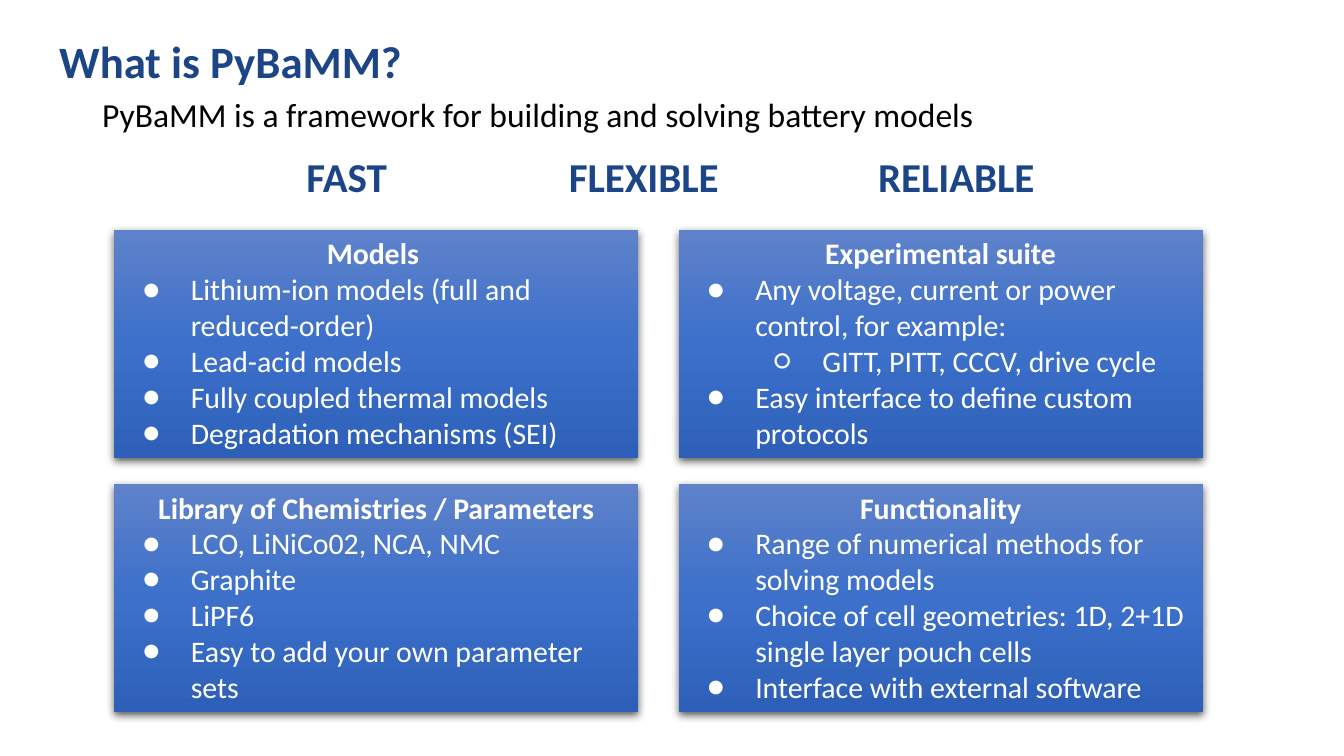
from dataclasses import dataclass

from lxml import etree
from pptx import Presentation
from pptx.dml.color import RGBColor
from pptx.enum.shapes import MSO_SHAPE
from pptx.enum.text import MSO_ANCHOR, PP_ALIGN
from pptx.oxml import parse_xml
from pptx.oxml.ns import nsdecls, qn
from pptx.slide import Slide
from pptx.text.text import TextFrame, _Paragraph
from pptx.util import Inches, Pt

RECTANGLE = MSO_SHAPE.RECTANGLE
TOP = MSO_ANCHOR.TOP
LEFT, CENTER = PP_ALIGN.LEFT, PP_ALIGN.CENTER
TITLE_ONLY = 5


@dataclass(frozen=True)
class Theme:
    font: str = "Calibri"
    navy: str = "1C4587"
    black: str = "000000"
    white: str = "FFFFFF"
    gradient: tuple[str, ...] = ("5F82CA", "3C70CA", "2E60B9")
    title_size: int = 24
    keyword_size: int = 22
    intro_size: int = 18
    card_size: int = 16


@dataclass(frozen=True)
class Keyword:
    text: str
    left: float
    width: float


@dataclass(frozen=True)
class Bullet:
    text: str
    level: int = 0


@dataclass(frozen=True)
class Card:
    heading: str
    bullets: tuple[Bullet, ...]


THEME = Theme()
PAGE_WIDTH = 10
PAGE_HEIGHT = PAGE_WIDTH * 9 / 16
CARD_LEFT, CARD_TOP = 0.85, 1.71
CARD_WIDTH, CARD_HEIGHT = 3.9, 1.7
COLUMN_STEP, ROW_STEP = 4.2, 1.89
BULLET_MARKS = "●○"
BULLET_INDENT, BULLET_HANG = 0.5, 0.36

KEYWORDS = (
    Keyword("FAST", 1.73, 1.7),
    Keyword("FLEXIBLE", 3.85, 1.88),
    Keyword("RELIABLE", 5.97, 2.29),
)

CARD_ROWS = (
    (
        Card("Models ", (
            Bullet("Lithium-ion models (full and reduced-order)"),
            Bullet("Lead-acid models"),
            Bullet("Fully coupled thermal models"),
            Bullet("Degradation mechanisms (SEI)"),
        )),
        Card("Experimental suite", (
            Bullet("Any voltage, current or power control, for example:"),
            Bullet("GITT, PITT, CCCV, drive cycle", 1),
            Bullet("Easy interface to define custom protocols"),
        )),
    ),
    (
        Card("Library of Chemistries / Parameters", (
            Bullet("LCO, LiNiCo02, NCA, NMC"),
            Bullet("Graphite"),
            Bullet("LiPF6"),
            Bullet("Easy to add your own parameter sets"),
        )),
        Card("Functionality", (
            Bullet("Range of numerical methods for solving models"),
            Bullet("Choice of cell geometries: 1D, 2+1D single layer pouch cells"),
            Bullet("Interface with external software"),
        )),
    ),
)


def set_frame(frame: TextFrame, side: float, end: float) -> None:
    frame.word_wrap = True
    frame.vertical_anchor = TOP
    frame.margin_left = frame.margin_right = Inches(side)
    frame.margin_top = frame.margin_bottom = Inches(end)


def add_span(para: _Paragraph, text: str, size: int, color: str,
             bold: bool = False, align: PP_ALIGN = LEFT) -> None:
    para.alignment = align
    span = para.add_run()
    span.text = text
    span.font.name = THEME.font
    span.font.size = Pt(size)
    span.font.bold = bold
    span.font.color.rgb = RGBColor.from_string(color)


def add_text_box(page: Slide, left: float, top: float, width: float,
                 height: float) -> _Paragraph:
    box = page.shapes.add_textbox(Inches(left), Inches(top), Inches(width), Inches(height))
    set_frame(box.text_frame, 0.07, 0.04)
    return box.text_frame.paragraphs[0]


def add_bullet(frame: TextFrame, bullet: Bullet) -> None:
    para = frame.add_paragraph()
    para.level = bullet.level
    properties = para._p.get_or_add_pPr()
    properties.set("marL", str(Inches(BULLET_INDENT * (bullet.level + 1))))
    properties.set("indent", str(-Inches(BULLET_HANG)))
    color = etree.SubElement(properties, qn("a:buClr"))
    etree.SubElement(color, qn("a:srgbClr"), val=THEME.white)
    etree.SubElement(properties, qn("a:buFont"), typeface=THEME.font)
    etree.SubElement(properties, qn("a:buChar"), char=BULLET_MARKS[bullet.level])
    add_span(para, bullet.text, THEME.card_size, THEME.white)


def add_card(page: Slide, card: Card, left: float, top: float) -> None:
    box = page.shapes.add_shape(RECTANGLE, Inches(left), Inches(top),
                                Inches(CARD_WIDTH), Inches(CARD_HEIGHT))
    box.line.fill.background()
    box.shadow.inherit = False
    properties = box._element.spPr
    stops = "".join(
        f'<a:gs pos="{index * 50000}"><a:srgbClr val="{color}"/></a:gs>'
        for index, color in enumerate(THEME.gradient)
    )
    properties.find(qn("a:prstGeom")).addnext(parse_xml(
        f'<a:gradFill {nsdecls("a")} rotWithShape="1"><a:gsLst>{stops}</a:gsLst>'
        '<a:lin ang="5400000" scaled="0"/></a:gradFill>'
    ))
    properties.find(qn("a:effectLst")).append(parse_xml(
        f'<a:outerShdw {nsdecls("a")} blurRad="{Pt(4.5)}" dist="{Pt(1.5)}" '
        f'dir="5400000" algn="ctr" rotWithShape="0"><a:srgbClr val="{THEME.black}">'
        '<a:alpha val="63000"/></a:srgbClr></a:outerShdw>'
    ))
    frame = box.text_frame
    set_frame(frame, 0.07, 0.04)
    add_span(frame.paragraphs[0], card.heading, THEME.card_size, THEME.white, True, CENTER)
    for bullet in card.bullets:
        add_bullet(frame, bullet)


def add_title(page: Slide, text: str) -> None:
    title = page.shapes.title
    title.left, title.top = Inches(0.34), Inches(0.15)
    title.width, title.height = Inches(9.32), Inches(0.63)
    set_frame(title.text_frame, 0.1, 0.1)
    add_span(title.text_frame.paragraphs[0], text, THEME.title_size, THEME.navy, True)


def main() -> None:
    deck = Presentation()
    deck.slide_width, deck.slide_height = Inches(PAGE_WIDTH), Inches(PAGE_HEIGHT)
    page = deck.slides.add_slide(deck.slide_layouts[TITLE_ONLY])
    add_title(page, "What is PyBaMM?")
    for keyword in KEYWORDS:
        para = add_text_box(page, keyword.left, 1.09, keyword.width, 0.43)
        add_span(para, keyword.text, THEME.keyword_size, THEME.navy, True, CENTER)
    intro = add_text_box(page, 0.69, 0.69, 8.62, 0.42)
    intro.line_spacing = 0.9
    intro.space_after = Pt(16)
    add_span(intro, "PyBaMM is a framework for building and solving battery models",
             THEME.intro_size, THEME.black)
    for row, cards in enumerate(CARD_ROWS):
        for column, card in enumerate(cards):
            add_card(page, card, CARD_LEFT + column * COLUMN_STEP, CARD_TOP + row * ROW_STEP)
    deck.save("out.pptx")


if __name__ == "__main__":
    main()
